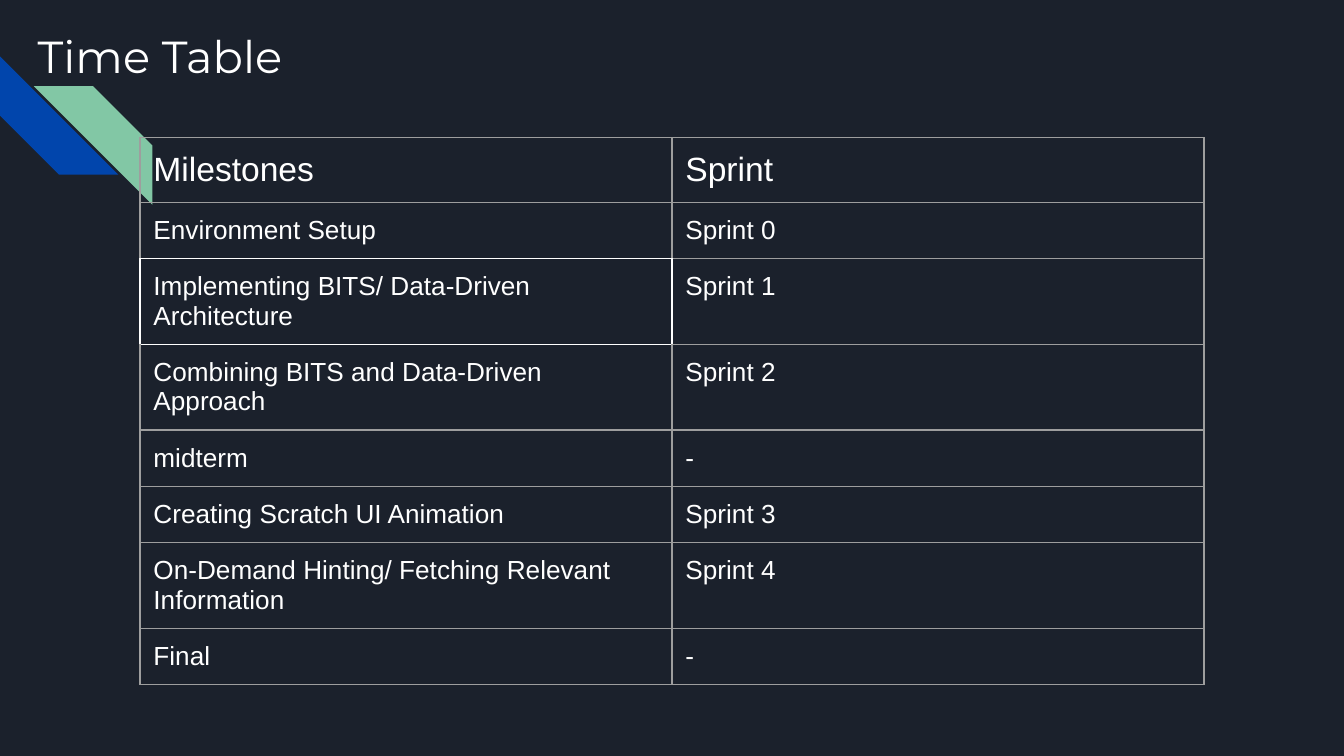
import pptx
import pptx.util
import pptx.dml.color
import pptx.enum.shapes
import pptx.enum.text
import pptx.oxml
import pptx.oxml.ns

Pt = pptx.util.Pt
COLORS = {"back": "1B212C", "text": "FFFFFF", "blue": "0145AC",
          "green": "82C7A5", "grid": "9E9E9E"}
INSETS = {"margin_left": Pt(7.2), "margin_right": Pt(7.2),
          "margin_top": Pt(7.2), "margin_bottom": Pt(7.2)}
ROWS = [
    ("Milestones", "Sprint"),
    ("Environment Setup", "Sprint 0"),
    ("Implementing BITS/ Data-Driven Architecture", "Sprint 1"),
    ("Combining BITS and Data-Driven Approach", "Sprint 2"),
    ("midterm", "-"),
    ("Creating Scratch UI Animation", "Sprint 3"),
    ("On-Demand Hinting/ Fetching Relevant Information", "Sprint 4"),
    ("Final", "-"),
]
WHITE_EDGES = {(1, 0): "B", (2, 0): "LRTB", (2, 1): "L", (3, 0): "T"}


def format_all(item, values):
    for name, value in values.items():
        setattr(item, name, value)


class Deck:
    def __init__(self):
        self.show = pptx.Presentation()
        format_all(self.show, {"slide_width": Pt(720), "slide_height": Pt(405)})
        self.slide = self.show.slides.add_slide(self.show.slide_layouts[5])
        self.paint(self.slide.background.fill, "back")

    def paint(self, fill, color):
        fill.solid()
        fill.fore_color.rgb = pptx.dml.color.RGBColor.from_string(COLORS[color])

    def label(self, frame, text, face, size):
        frame.text = text
        line = frame.paragraphs[0]
        line.alignment = pptx.enum.text.PP_ALIGN.LEFT
        font = line.runs[0].font
        format_all(font, {"name": face, "size": Pt(size), "bold": False})
        self.paint(font.fill, "text")

    def stripe(self, left, top, size, turn, color):
        kind = pptx.enum.shapes.MSO_SHAPE.DIAGONAL_STRIPE
        shape = self.slide.shapes.add_shape(kind, Pt(left), Pt(top), Pt(size), Pt(size))
        shape.adjustments[0] = 0.5
        shape.rotation = turn
        shape.shadow.inherit = False
        self.paint(shape.fill, color)
        shape.line.fill.background()

    def title(self, text, left, top, width, height):
        shape = self.slide.shapes.title
        format_all(shape, {"left": Pt(left), "top": Pt(top),
                           "width": Pt(width), "height": Pt(height)})
        frame = shape.text_frame
        format_all(frame, {**INSETS, "word_wrap": True,
                           "auto_size": pptx.enum.text.MSO_AUTO_SIZE.NONE,
                           "vertical_anchor": pptx.enum.text.MSO_ANCHOR.TOP})
        self.label(frame, text, "Montserrat", 24)

    def border(self, cell, white):
        props = cell._tc.get_or_add_tcPr()
        space = pptx.oxml.ns.nsdecls("a")
        for spot, side in enumerate("LRTB"):
            color = COLORS["text" if side in white else "grid"]
            props.insert(spot, pptx.oxml.parse_xml(
                f'<a:ln{side} {space} w="{Pt(0.75)}"><a:solidFill>'
                f'<a:srgbClr val="{color}"/></a:solidFill></a:ln{side}>'))

    def table(self, rows, left, top, width, height):
        count, across = len(rows), len(rows[0])
        grid = self.slide.shapes.add_table(
            count, across, Pt(left), Pt(top),
            Pt(width * across), Pt(height * count)).table
        format_all(grid, {"first_row": False, "horz_banding": False})
        for r, row in enumerate(rows):
            for c, text in enumerate(row):
                cell = grid.cell(r, c)
                format_all(cell, INSETS)
                cell.fill.background()
                self.label(cell.text_frame, text, "Arial", 14 if r else 18)
                self.border(cell, WHITE_EDGES.get((r, c), ""))


def main():
    deck = Deck()
    deck.stripe(0, 30.2, 63.4, 270, "blue")
    deck.stripe(18.2, 46.2, 63.4, 90, "green")
    deck.title("Time Table", 13, 8, 318, 66)
    deck.table(ROWS, 75, 73.8, 285, 30)
    deck.show.save("out.pptx")


if __name__ == "__main__":
    main()
